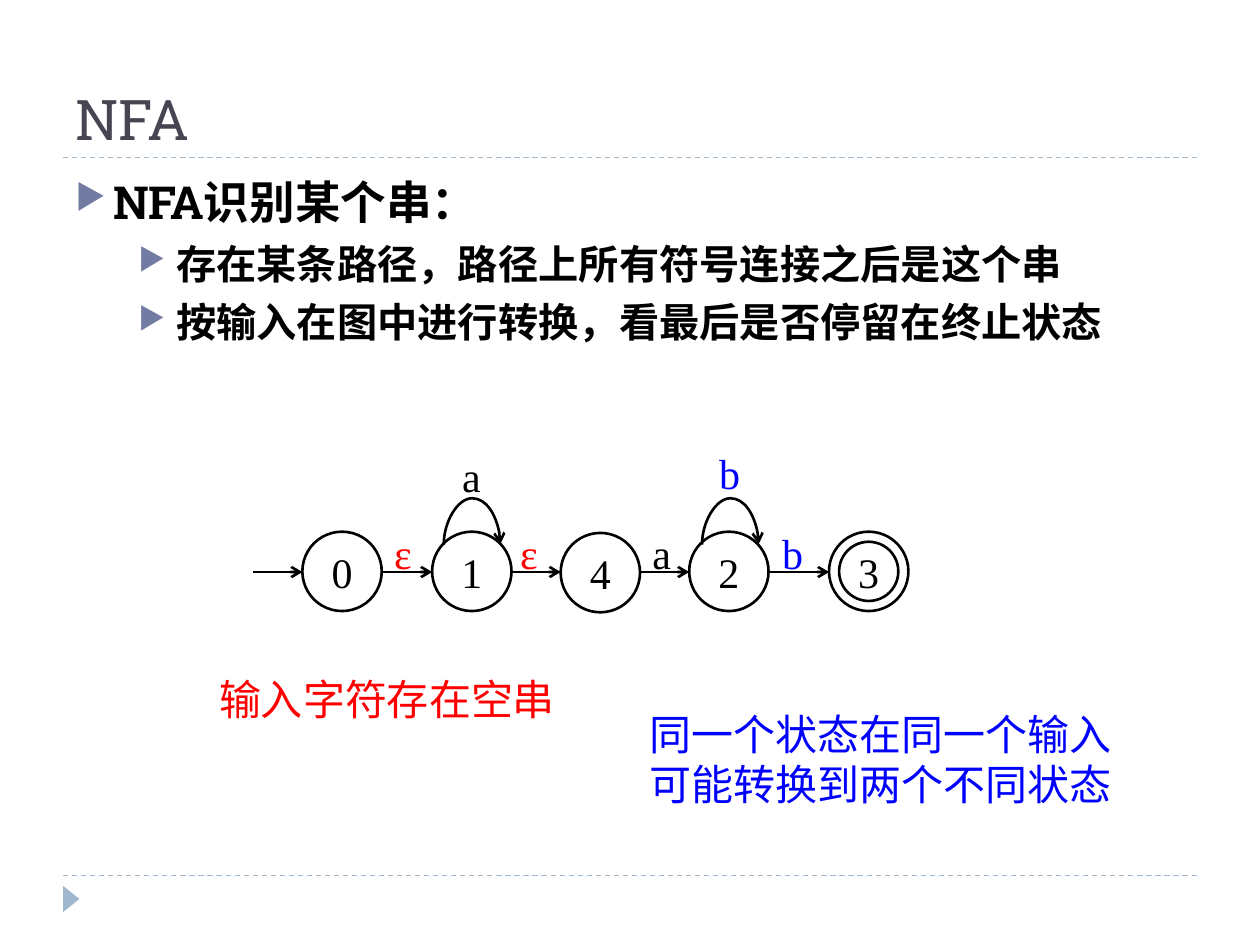
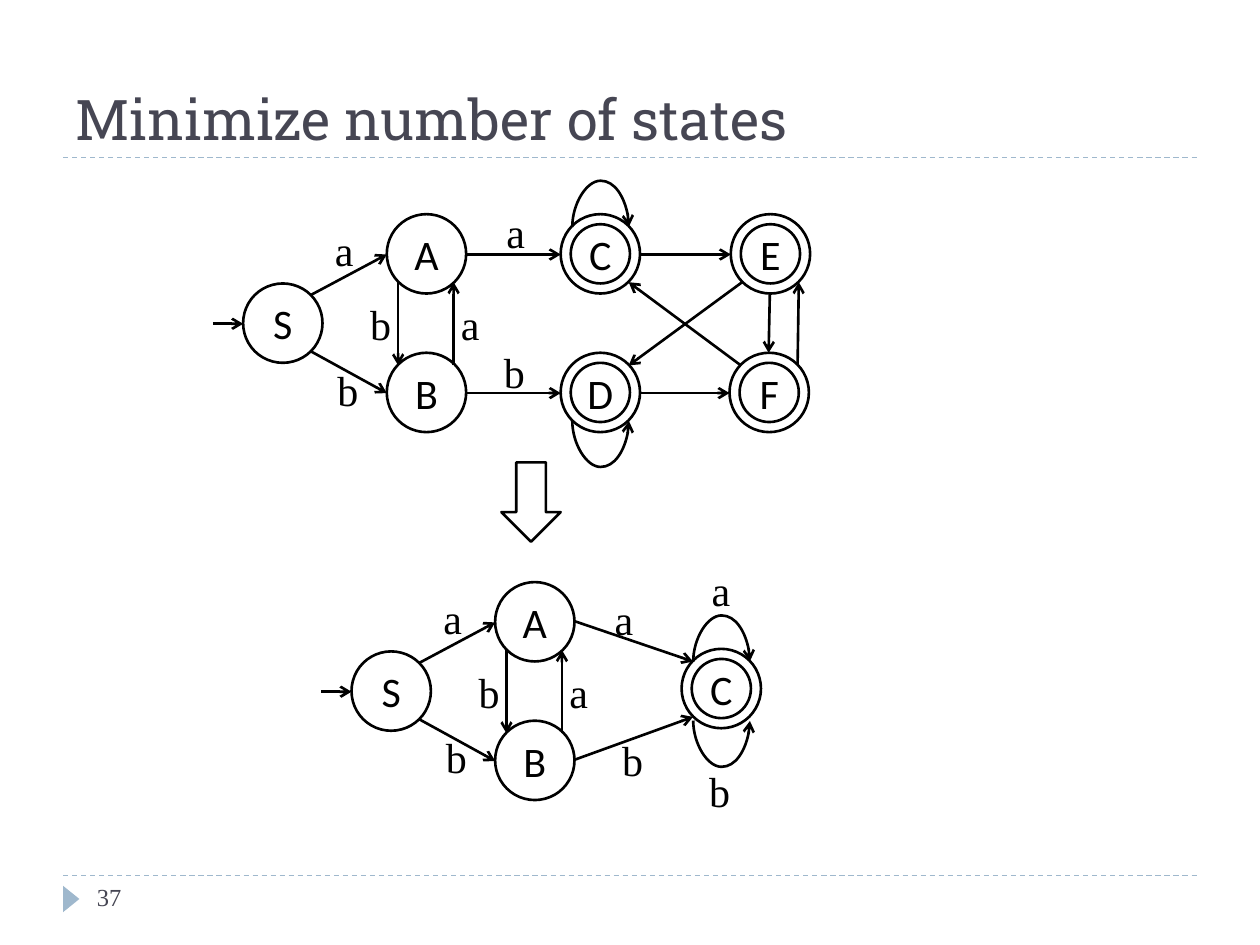
import dataclasses
import lxml.etree
import pptx
import pptx.dml.color
import pptx.enum.dml
import pptx.enum.shapes
import pptx.enum.text
import pptx.oxml.ns
import pptx.util

Inches = pptx.util.Inches
Pt = pptx.util.Pt
qn = pptx.oxml.ns.qn
RGB = pptx.dml.color.RGBColor.from_string
SHAPE = pptx.enum.shapes.MSO_SHAPE
CONNECTOR = pptx.enum.shapes.MSO_CONNECTOR
ANCHOR = pptx.enum.text.MSO_ANCHOR


@dataclasses.dataclass(frozen=True)
class Theme:
    black: str = "000000"
    red: str = "FF0000"
    blue: str = "0000FF"
    heading: str = "464653"
    accent: str = "9FB8CD"
    bullet: str = "727CA3"
    slab: str = "Roboto Slab"
    serif: str = "Times New Roman"
    sans: str = "Calibri"
    title_size: int = 32
    body_sizes: tuple = (26, 23)
    diagram_size: int = 24
    number_size: int = 14
    stroke: float = 1.5
    rule: float = 0.75


theme = Theme()


def add_text(slide, box, lines, size, color, font, wrap=True, anchor=ANCHOR.TOP):
    frame = slide.shapes.add_textbox(*map(Inches, box)).text_frame
    frame.word_wrap = wrap
    frame.vertical_anchor = anchor
    for index, line in enumerate(lines):
        paragraph = frame.paragraphs[0] if index == 0 else frame.add_paragraph()
        run = paragraph.add_run()
        run.text = line
        run.font.size = Pt(size)
        run.font.name = font
        run.font.color.rgb = RGB(color)
    return frame


def add_line(slide, kind, ends, color, width, arrow=False):
    connector = slide.shapes.add_connector(kind, *map(Inches, ends))
    connector.line.color.rgb = RGB(color)
    connector.line.width = Pt(width)
    properties = connector._element.spPr
    if arrow:
        lxml.etree.SubElement(properties.find(qn("a:ln")), qn("a:tailEnd"), type="arrow")
    lxml.etree.SubElement(properties, qn("a:effectLst"))
    return connector


presentation = pptx.Presentation()
presentation.slide_width = Inches(10)
presentation.slide_height = Inches(7.5)

slides = []
for title in ("NFA", "Minimize number of states"):
    slide = presentation.slides.add_slide(presentation.slide_layouts[6])
    slides.append(slide)
    for rule_y in (6.95, 1.25):
        rule = add_line(slide, CONNECTOR.STRAIGHT, (0.5, rule_y, 9.5, rule_y), theme.accent, theme.rule)
        rule.line.dash_style = pptx.enum.dml.MSO_LINE.DASH
    marker = slide.shapes.add_shape(SHAPE.ISOSCELES_TRIANGLE, *map(Inches, (0.46, 7.07, 0.21, 0.13)))
    marker.rotation = 90
    marker.shadow.inherit = False
    marker.fill.solid()
    marker.fill.fore_color.rgb = RGB(theme.accent)
    marker.line.fill.background()
    add_text(slide, (0.5, 0.17, 9, 1.08), [title], theme.title_size, theme.heading, theme.slab,
             anchor=ANCHOR.BOTTOM)

nfa_slide, minimize_slide = slides

body_lines = ["NFA识别某个串：", "存在某条路径，路径上所有符号连接之后是这个串", "按输入在图中进行转换，看最后是否停留在终止状态"]
body = add_text(nfa_slide, (0.5, 1.33, 9, 1.61), body_lines, theme.body_sizes[0], theme.black, theme.slab)
for paragraph, level in zip(body.paragraphs, (0, 1, 1)):
    paragraph.level = level
    paragraph.space_before = Pt(6)
    paragraph.runs[0].font.size = Pt(theme.body_sizes[level])
    paragraph.runs[0].font.bold = True
    properties = paragraph._p.get_or_add_pPr()
    properties.set("marL", str(Inches(0.3 + 0.5 * level)))
    properties.set("indent", str(Inches(-0.3)))
    bullet_color = lxml.etree.SubElement(properties, qn("a:buClr"))
    lxml.etree.SubElement(bullet_color, qn("a:srgbClr"), val=theme.bullet)
    lxml.etree.SubElement(properties, qn("a:buSzPct"), val="76000")
    lxml.etree.SubElement(properties, qn("a:buChar"), char="▶")

add_text(nfa_slide, (1.64, 5.3, 2.87, 0.5), ["输入字符存在空串"], theme.diagram_size, theme.red, theme.serif, wrap=False)
add_text(nfa_slide, (5.06, 5.57, 3.87, 0.91), ["同一个状态在同一个输入", "可能转换到两个不同状态"],
         theme.diagram_size, theme.blue, theme.serif, wrap=False)
add_text(minimize_slide, (0.67, 6.95, 2.17, 0.4), ["37"], theme.number_size, theme.heading, theme.serif)

diameter = 0.63
inner_diameter = 0.47
ring_gap = (diameter - inner_diameter) / 2
loop_span = 0.45
loop_rise = 0.36
loop_depth = Pt(0.25)

nfa = {
    "slide": nfa_slide,
    "font": theme.sans,
    "states": [("0", 2.4, 4.22), ("1", 3.43, 4.22), ("4", 4.45, 4.23), ("2", 5.47, 4.22), ("3", 6.58, 4.22)],
    "final": "3",
    "arrows": [(start, 4.54, end, 4.54) for start, end in
               ((2.01, 2.4), (3.03, 3.43), (4.06, 4.45), (5.08, 5.47), (6.1, 6.58))],
    "loops": [(3.52, 4.32, True), (5.57, 4.32, True)],
    "labels": [("a", 3.57, 3.53, theme.black), ("a", 5.08, 4.14, theme.black),
               ("b", 5.61, 3.5, theme.blue), ("b", 6.11, 4.14, theme.blue),
               ("ε", 3.03, 4.14, theme.red), ("ε", 4.03, 4.14, theme.red)],
}
nfa["font"] = theme.serif

full_automaton = {
    "slide": minimize_slide,
    "font": theme.sans,
    "states": [("C", 4.45, 1.7), ("D", 4.45, 2.8), ("E", 5.8, 1.7), ("F", 5.79, 2.8)],
    "final": "CDEF",
    "arrows": [(3.7, 2.02, 4.45, 2.02), (3.7, 3.12, 4.45, 3.12), (5.08, 2.02, 5.8, 2.02), (5.08, 3.12, 5.79, 3.12),
               (6.11, 2.33, 6.1, 2.8), (6.33, 2.9, 6.34, 2.24), (5.88, 2.9, 4.99, 2.24), (5.89, 2.24, 4.99, 2.9)],
    "loops": [(4.54, 1.8, True), (4.54, 3.34, False)],
    "labels": [("a", 3.92, 1.59, theme.black), ("b", 3.9, 2.7, theme.black)],
}

minimal_automaton = {
    "slide": minimize_slide,
    "font": theme.sans,
    "states": [("C", 5.41, 5.15)],
    "final": "C",
    "arrows": [(4.56, 4.93, 5.5, 5.25), (4.56, 6.03, 5.5, 5.69)],
    "loops": [(5.5, 5.25, True), (5.5, 5.72, False)],
    "labels": [("a", 4.78, 4.66, theme.black), ("b", 4.84, 5.78, theme.black),
               ("a", 5.55, 4.43, theme.black), ("b", 5.53, 6.03, theme.black)],
}

start_states = [("S", 1.93, 2.25), ("A", 3.07, 1.7), ("B", 3.07, 2.8)]
start_arrows = [(1.69, 2.57, 1.93, 2.57), (2.47, 2.34, 3.07, 2.02), (2.47, 2.79, 3.07, 3.12),
                (3.6, 2.9, 3.6, 2.24), (3.16, 2.24, 3.16, 2.9)]
start_labels = [("a", 2.56, 1.73), ("b", 2.58, 2.84), ("b", 2.84, 2.32), ("a", 3.56, 2.32)]
for automaton, shift_x, shift_y in ((full_automaton, 0, 0), (minimal_automaton, 0.86, 2.92)):
    automaton["states"] += [(name, x + shift_x, y + shift_y) for name, x, y in start_states]
    automaton["arrows"] += [(x1 + shift_x, y1 + shift_y, x2 + shift_x, y2 + shift_y)
                            for x1, y1, x2, y2 in start_arrows]
    automaton["labels"] += [(name, x + shift_x, y + shift_y, theme.black) for name, x, y in start_labels]

for automaton in (nfa, full_automaton, minimal_automaton):
    slide = automaton["slide"]
    for name, x, y in automaton["states"]:
        circles = [(name, x, y, diameter)]
        if name in automaton["final"]:
            circles.append(("", x + ring_gap, y + ring_gap, inner_diameter))
        for text, left, top, size in circles:
            circle = slide.shapes.add_shape(SHAPE.OVAL, *map(Inches, (left, top, size, size)))
            circle.shadow.inherit = False
            circle.fill.background()
            circle.line.color.rgb = RGB(theme.black)
            circle.line.width = Pt(theme.stroke)
            if text:
                frame = circle.text_frame
                frame.word_wrap = False
                frame.vertical_anchor = ANCHOR.MIDDLE
                paragraph = frame.paragraphs[0]
                paragraph.alignment = pptx.enum.text.PP_ALIGN.CENTER
                run = paragraph.add_run()
                run.text = text
                run.font.size = Pt(theme.diagram_size)
                run.font.name = automaton["font"]
                run.font.color.rgb = RGB(theme.black)
    for ends in automaton["arrows"]:
        add_line(slide, CONNECTOR.STRAIGHT, ends, theme.black, theme.stroke, arrow=True)
    for x, y, upward in automaton["loops"]:
        middle = x + loop_span / 2
        loop = add_line(slide, CONNECTOR.CURVE, (middle, y - loop_span / 2, middle, y + loop_span / 2),
                        theme.black, theme.stroke, arrow=True)
        loop.width = loop_depth
        transform = loop._element.spPr.find(qn("a:xfrm"))
        transform.set("rot", str((270 if upward else 90) * 60000))
        if not upward:
            transform.set("flipV", "1")
        adjustments = loop._element.spPr.find(qn("a:prstGeom")).find(qn("a:avLst"))
        ratio = round(Inches(loop_rise) / loop_depth * 100000)
        lxml.etree.SubElement(adjustments, qn("a:gd"), name="adj1", fmla=f"val {ratio}")
    for text, x, y, color in automaton["labels"]:
        width = 0.37 if text == "b" else 0.35
        add_text(slide, (x, y, width, 0.5), [text], theme.diagram_size, color, theme.serif, wrap=False)

down_arrow = minimize_slide.shapes.add_shape(SHAPE.DOWN_ARROW, *map(Inches, (3.98, 3.67, 0.47, 0.63)))
down_arrow.shadow.inherit = False
down_arrow.fill.background()
down_arrow.line.color.rgb = RGB(theme.black)
down_arrow.line.width = Pt(theme.stroke)

presentation.save("out.pptx")
